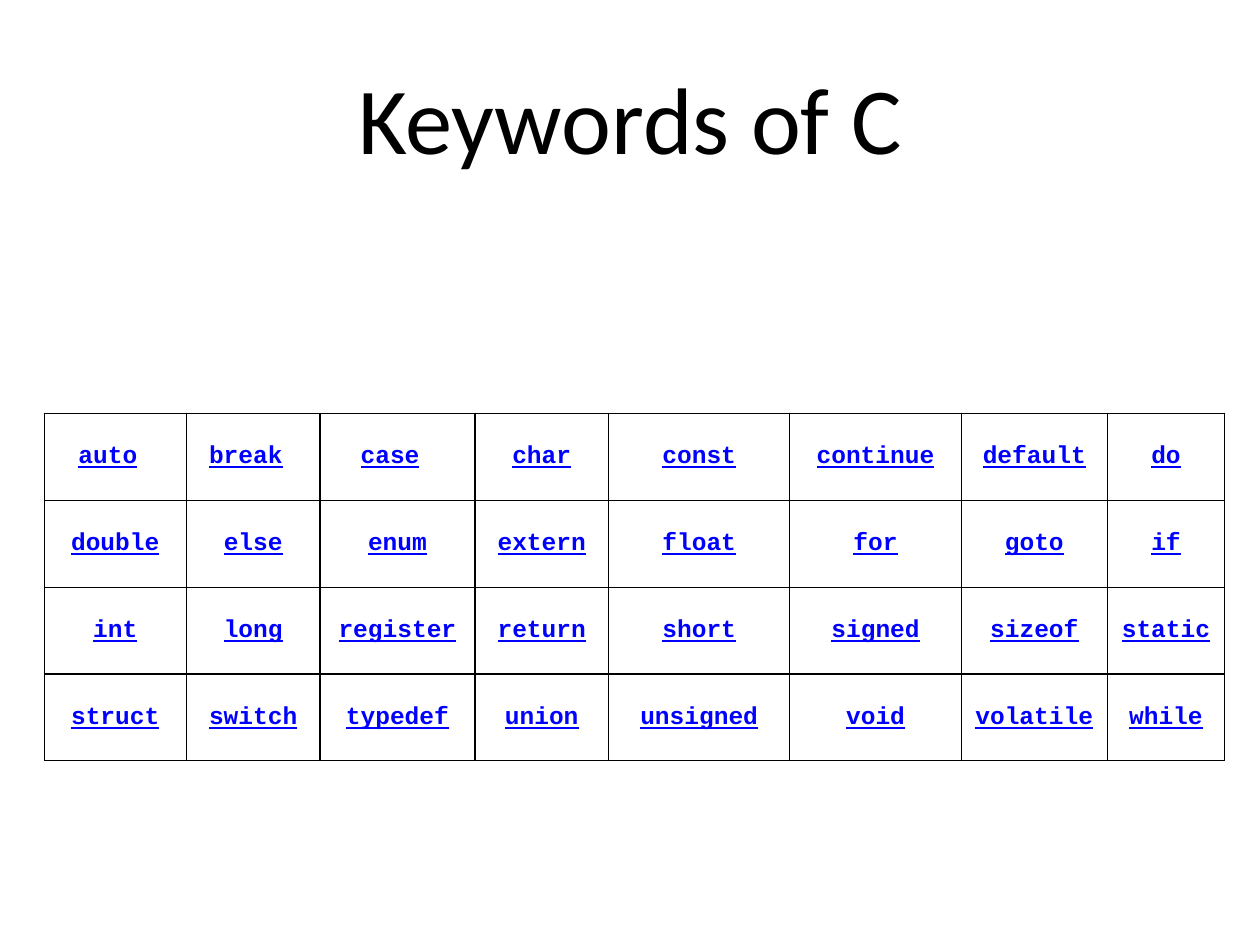
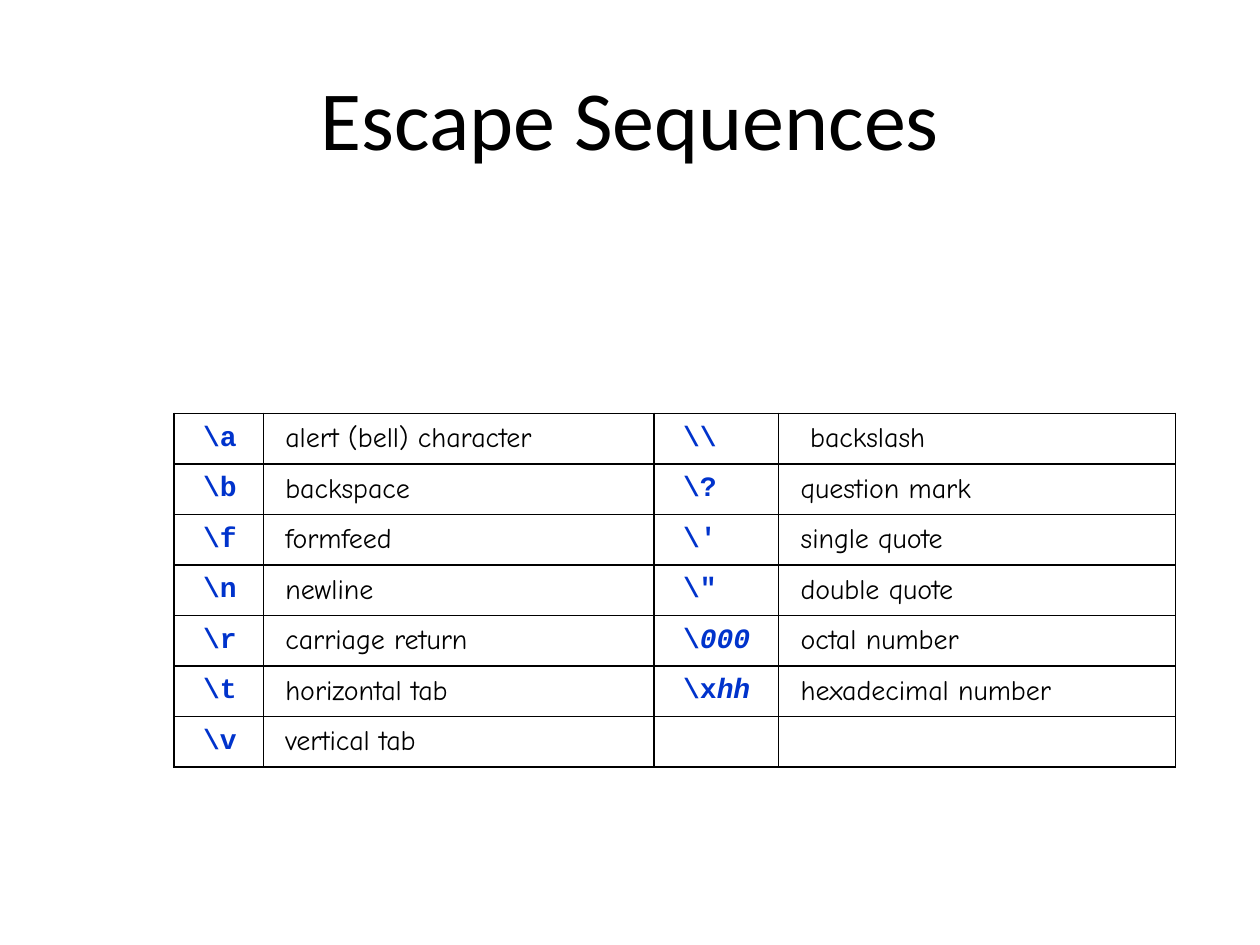
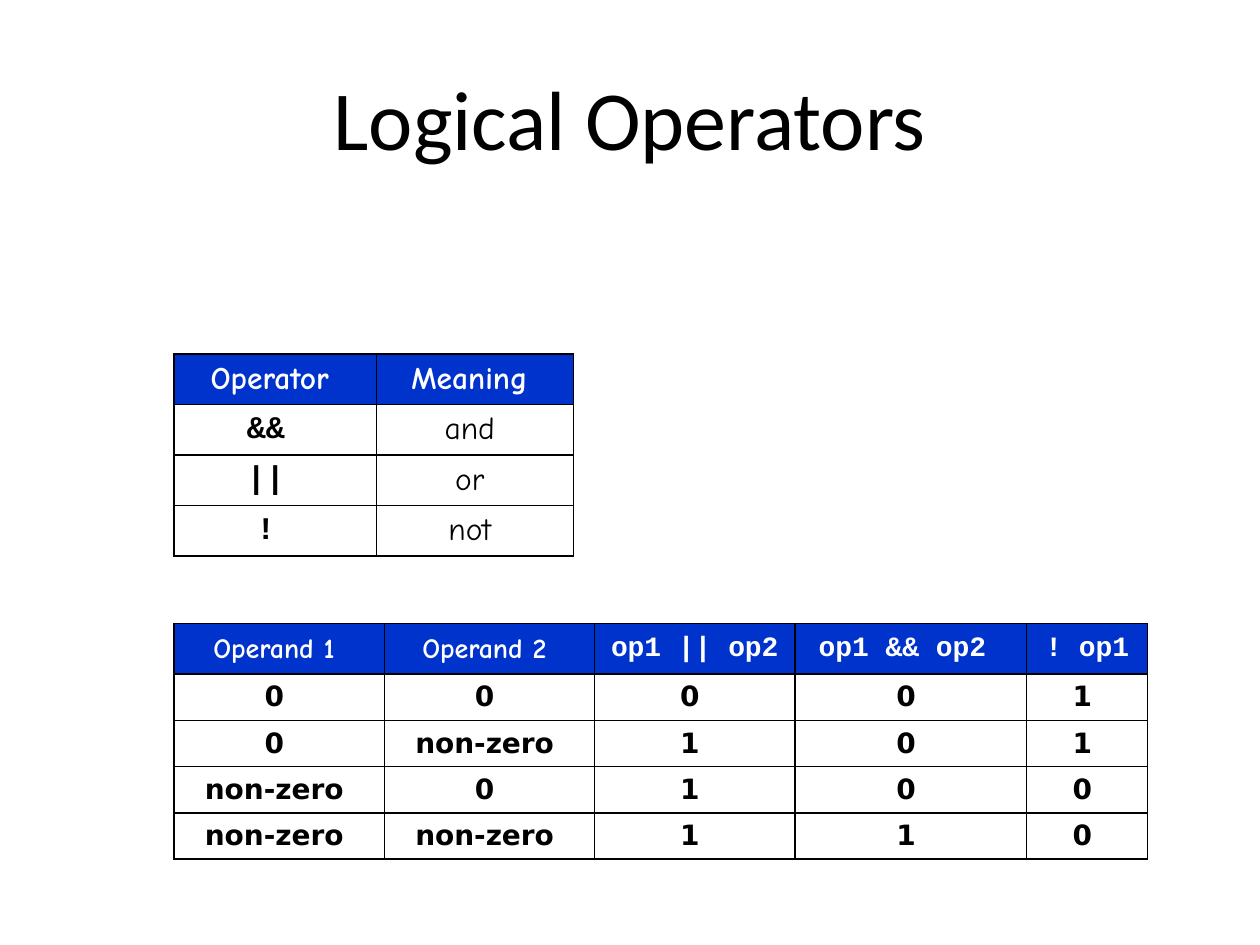
"""Build three slides of C language reference tables."""
from dataclasses import dataclass, replace

from lxml.etree import SubElement
from pptx import Presentation
from pptx.dml.color import RGBColor
from pptx.enum.text import MSO_ANCHOR, PP_ALIGN
from pptx.oxml.ns import qn
from pptx.util import Inches, Pt

COLORS = {"ink": "000000", "paper": "FFFFFF", "link": "0000FF", "accent": "0033CC"}
GRID_UNIT = Inches(0.1)
GRID_COLUMNS, GRID_ROWS = 100, 75
TABLE_LEFT = 13.8
CELL_PADDING = 1


@dataclass(frozen=True)
class Style:
    """Character formatting of a run."""
    font: str
    size: int
    color: str = "ink"
    bold: bool = True
    italic: bool = False
    underline: bool = False


@dataclass
class Entry:
    """Content and look of a table cell."""
    runs: list
    fill: str = "paper"
    align: PP_ALIGN = PP_ALIGN.CENTER
    indent: float = 0


KEYWORD = Style("Courier New", 14, "link", underline=True)
SEQUENCE = Style("Courier New", 16, "accent")
PROSE = Style("Comic Neue", 16, bold=False)
VALUE = Style("DejaVu Sans", 16)

KEYWORDS = [
    "auto break case char const continue default do",
    "double else enum extern float for goto if",
    "int long register return short signed sizeof static",
    "struct switch typedef union unsigned void volatile while",
]
SPACED_KEYWORDS = {"auto", "break", "case"}

ESCAPES = [
    (r"\a", "", "alert (bell) character", r"\\", "", "backslash"),
    (r"\b", "", "backspace", r"\?", "", "question mark"),
    (r"\f", "", "formfeed", r"\'", "", "single quote"),
    (r"\n", "", "newline", r'\"', "", "double quote"),
    (r"\r", "", "carriage return", "\\", "000", "octal number"),
    (r"\t", "", "horizontal tab", r"\x", "hh", "hexadecimal number"),
    (r"\v", "", "vertical tab", "", "", ""),
]

OPERATORS = [("&&", "and"), ("||", "or"), ("!", "not")]
OPERAND_HEADERS = ["Operand 1", "Operand 2"]
RESULT_HEADERS = ["op1 || op2", "op1 && op2", "! op1"]
TRUTH_ROWS = [
    ("0", "0", "0", "0", "1"),
    ("0", "non-zero", "1", "0", "1"),
    ("non-zero", "0", "1", "0", "0"),
    ("non-zero", "non-zero", "1", "1", "0"),
]


def grid(count):
    """Turn a number of grid units into a length."""
    return round(count * GRID_UNIT)


def rgb(name):
    """Look up a named colour."""
    return RGBColor.from_string(COLORS[name])


def add_run(paragraph, text, style):
    """Add one formatted run to a paragraph."""
    run = paragraph.add_run()
    run.text = text
    font = run.font
    font.name, font.size = style.font, Pt(style.size)
    font.bold, font.italic, font.underline = style.bold, style.italic, style.underline
    font.color.rgb = rgb(style.color)


def add_titled_slide(presentation, title, size=48):
    """Add a blank slide with a centred title."""
    slide = presentation.slides.add_slide(presentation.slide_layouts[6])
    box = slide.shapes.add_textbox(grid(5), grid(3), grid(90), grid(12.5))
    frame = box.text_frame
    frame.word_wrap = True
    frame.vertical_anchor = MSO_ANCHOR.MIDDLE
    paragraph = frame.paragraphs[0]
    paragraph.alignment = PP_ALIGN.CENTER
    add_run(paragraph, title, Style("Calibri", size, bold=False))
    return slide


def set_borders(cell, width):
    """Draw all four edges of a cell."""
    properties = cell._tc.get_or_add_tcPr()
    for edge in ("a:lnL", "a:lnR", "a:lnT", "a:lnB"):
        line = SubElement(properties, qn(edge), w=str(Pt(width)))
        fill = SubElement(line, qn("a:solidFill"))
        SubElement(fill, qn("a:srgbClr"), val=COLORS["ink"])


def fill_cell(cell, entry, border):
    """Format a cell and write its runs."""
    set_borders(cell, border)
    cell.fill.solid()
    cell.fill.fore_color.rgb = rgb(entry.fill)
    cell.vertical_anchor = MSO_ANCHOR.MIDDLE
    cell.margin_left = grid(CELL_PADDING + entry.indent)
    paragraph = cell.text_frame.paragraphs[0]
    paragraph.alignment = entry.align
    for text, style in entry.runs:
        if text:
            add_run(paragraph, text, style)


def add_grid_table(slide, left, top, widths, heights, entries, border=1):
    """Add a bordered table with sizes given in grid units."""
    frame = slide.shapes.add_table(len(heights), len(widths), grid(left), grid(top),
                                   grid(sum(widths)), grid(sum(heights)))
    table = frame.table
    table.first_row = table.horz_banding = False
    for column, width in zip(table.columns, widths):
        column.width = grid(width)
    for row, height, row_entries in zip(table.rows, heights, entries):
        row.height = grid(height)
        for cell, entry in zip(row.cells, row_entries):
            fill_cell(cell, entry, border)


def keyword_entry(word):
    """Make the cell of a C keyword."""
    gap = " " if word in SPACED_KEYWORDS else ""
    return Entry([(word, KEYWORD), (gap, replace(KEYWORD, color="ink", underline=False))])


def escape_pair(sequence, digits, meaning):
    """Make the cells of an escape sequence and its meaning."""
    code = [(sequence, SEQUENCE), (digits, replace(SEQUENCE, italic=True))]
    indent = 1.5 if meaning == "backslash" else 0.75
    return [Entry(code, align=PP_ALIGN.LEFT, indent=1.33),
            Entry([(meaning, PROSE)], align=PP_ALIGN.LEFT, indent=indent)]


def spaced_entry(text, style):
    """Make a centred cell whose text ends in a space."""
    return Entry([(text + " ", style)])


def header_entry(text, font, size):
    """Make a white-on-blue heading cell."""
    return Entry([(text + " ", Style(font, size, "paper"))], fill="accent")


def add_keywords(presentation):
    """Add the slide of C keywords."""
    slide = add_titled_slide(presentation, "Keywords of C", 54)
    entries = [[keyword_entry(word) for word in line.split()] for line in KEYWORDS]
    widths = [11.3, 10.6, 12.3, 10.6, 14.4, 13.6, 11.6, 9.3]
    add_grid_table(slide, 3.5, 32.8, widths, [6.9] * len(entries), entries, border=0.75)


def add_escapes(presentation):
    """Add the slide of escape sequences."""
    slide = add_titled_slide(presentation, "Escape Sequences")
    entries = [escape_pair(*row[:3]) + escape_pair(*row[3:]) for row in ESCAPES]
    add_grid_table(slide, TABLE_LEFT, 32.8, [7.1, 31, 9.9, 31.5],
                   [4.01] * len(entries), entries)


def add_operators(presentation):
    """Add the slide of logical operators and their truth table."""
    slide = add_titled_slide(presentation, "Logical Operators")
    symbol, word = replace(VALUE, font="Courier New", size=18), replace(PROSE, size=18)
    meanings = [[header_entry(text, "Comic Neue", 18) for text in ("Operator", "Meaning")]]
    meanings += [[spaced_entry(operator, symbol), spaced_entry(meaning, word)]
                 for operator, meaning in OPERATORS]
    add_grid_table(slide, TABLE_LEFT, 28.1, [16.1, 15.6],
                   [4] + [3.9] * len(OPERATORS), meanings)

    truth = [[header_entry(text, "Comic Neue", 16) for text in OPERAND_HEADERS]
             + [header_entry(text, "Courier New", 16) for text in RESULT_HEADERS]]
    truth += [[spaced_entry(value, VALUE) for value in row] for row in TRUTH_ROWS]
    add_grid_table(slide, TABLE_LEFT, 49.5, [16.7, 16.7, 15.9, 18.4, 9.6],
                   [4] + [3.57] * len(TRUTH_ROWS), truth)


def main():
    """Build and save the presentation."""
    presentation = Presentation()
    presentation.slide_width = grid(GRID_COLUMNS)
    presentation.slide_height = grid(GRID_ROWS)
    add_keywords(presentation)
    add_escapes(presentation)
    add_operators(presentation)
    presentation.save("out.pptx")


if __name__ == "__main__":
    main()
